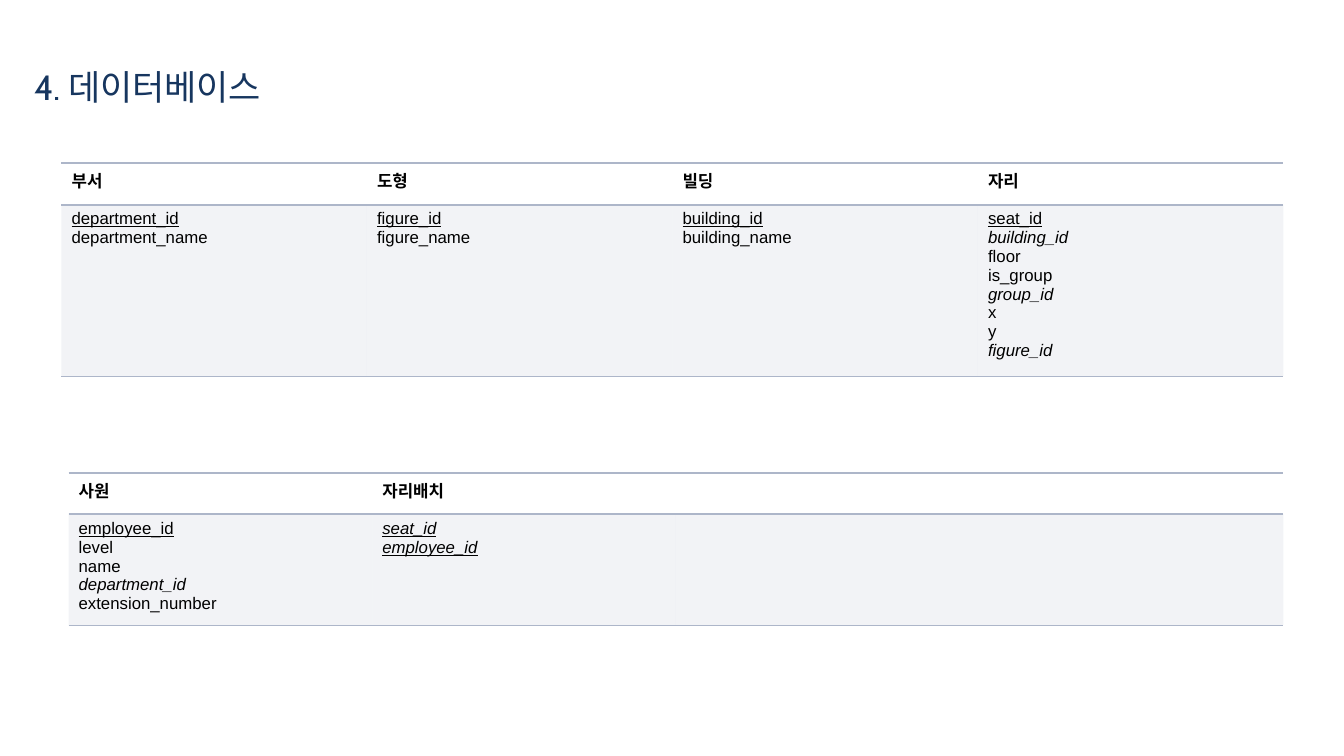
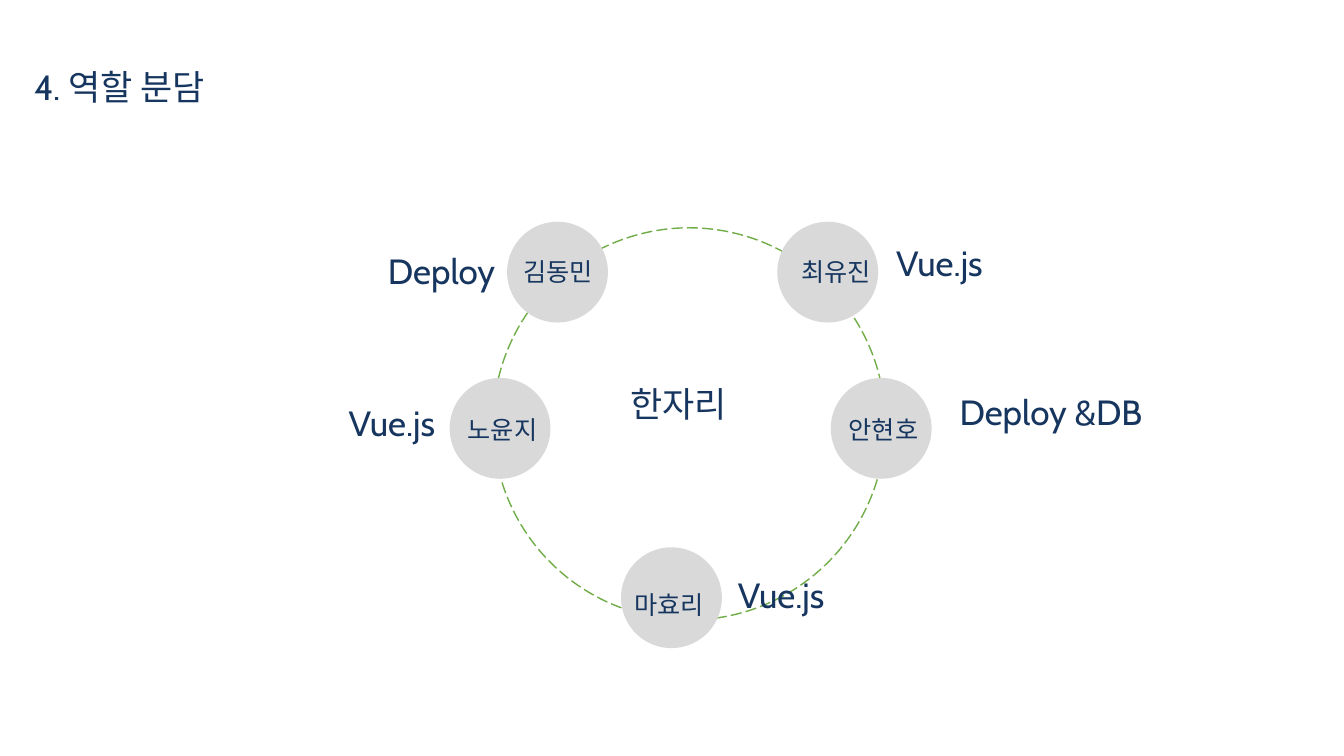
from dataclasses import dataclass
from lxml.etree import SubElement
from pptx import Presentation
from pptx.dml.color import RGBColor
from pptx.enum.dml import MSO_LINE
from pptx.enum.shapes import MSO_SHAPE
from pptx.oxml.ns import qn
from pptx.util import Pt

PX = 9144  # 100 px to the inch


@dataclass(frozen=True)
class Theme:
    navy: str = "17365F"
    black: str = "000000"
    rule: str = "ADB6C9"
    band: str = "C1C7D5"
    green: str = "70AD47"
    disc: str = "D9D9D9"
    face: str = "Cabin"
    body: str = "Arial"
    big: int = 25
    mid: int = 18
    small: int = 12
    thick: float = 1.79
    thin: float = 0.79
    alpha: int = 20
    plain: str = "{2D5ABB26-0587-4C30-8999-92F81FD0307C}"


T = Theme()

# A leading * marks a primary key, / a foreign key
TOP = {
    "부서": ["*department_id", "department_name"],
    "도형": ["*figure_id", "figure_name"],
    "빌딩": ["*building_id", "building_name"],
    "자리": ["*seat_id", "/building_id", "floor", "is_group",
           "/group_id", "x", "y", "/figure_id"],
}
LOW = {
    "사원": ["*employee_id", "level", "name", "/department_id",
           "extension_number"],
    "자리배치": ["*/seat_id", "*/employee_id"],
}

# Name, disc place, name offset in disc, role, role place; all within the ring
TEAM = [
    ("김동민", (14, -6), (6, 29), "Deploy", (-114, 17)),
    ("노윤지", (-43, 149), (8, 31), "Vue.js", (-153, 167)),
    ("마효리", (127, 317), (3, 37), "Vue.js", (233, 338)),
    ("안현호", (335, 149), (8, 31), "Deploy &DB", (453, 157)),
    ("최유진", (282, -6), (14, 29), "Vue.js", (390, 9)),
]


def emu(*box):
    return [n * PX for n in box]


def rgb(code):
    return RGBColor.from_string(code)


def style(font, size, face, color):
    font.size, font.name = Pt(size), face
    font.color.rgb = rgb(color)


def label(slide, box, text, size=T.big):
    frame = slide.shapes.add_textbox(*emu(*box)).text_frame
    frame.word_wrap = True
    frame.text = text
    style(frame.paragraphs[0].runs[0].font, size, T.face, T.navy)


def disc(slide, box):
    shape = slide.shapes.add_shape(MSO_SHAPE.OVAL, *emu(*box))
    shape.shadow.inherit = False
    return shape


def page(deck, title):
    slide = deck.slides.add_slide(deck.slide_layouts[6])
    label(slide, (24, 60, 894, 77), title)
    return slide


def edge(cell, **widths):
    """Rule the named sides of a cell and clear the others."""
    props = cell._tc.get_or_add_tcPr()
    for side in "LRTB":
        line = SubElement(props, qn("a:ln" + side))
        if side in widths:
            line.set("w", str(Pt(widths[side])))
            fill = SubElement(line, qn("a:solidFill"))
            SubElement(fill, qn("a:srgbClr")).set("val", T.rule)
        else:
            SubElement(line, qn("a:noFill"))


def tint(cell):
    cell.fill.solid()
    cell.fill.fore_color.rgb = rgb(T.band)
    color = cell._tc.tcPr.find(".//" + qn("a:solidFill") + "[last()]")
    color = cell._tc.tcPr.findall(qn("a:solidFill"))[0][0]
    SubElement(color, qn("a:alpha")).set("val", str(T.alpha * 1000))


def schema(slide, box, data, cols=4, head=41):
    """Table of entities: names above, fields below."""
    grid = slide.shapes.add_table(2, cols, *emu(*box)).table
    grid._tbl.tblPr.find(qn("a:tableStyleId")).text = T.plain
    grid.horz_banding = False
    grid.rows[0].height, grid.rows[1].height = emu(head, box[3] - head)
    for cell in grid.rows[0].cells:
        edge(cell, T=T.thick, B=T.thick)
        cell.fill.background()
    for cell in grid.rows[1].cells:
        edge(cell, T=T.thick, B=T.thin)
        tint(cell)
    for col, (name, fields) in enumerate(data.items()):
        top, low = grid.cell(0, col), grid.cell(1, col)
        top.text = name
        font = top.text_frame.paragraphs[0].runs[0].font
        style(font, T.small, T.body, T.black)
        font.bold = True
        low.text = "\n".join(field.lstrip("*/") for field in fields)
        for para, field in zip(low.text_frame.paragraphs, fields):
            font = para.runs[0].font
            style(font, T.small, T.body, T.black)
            font.bold = False
            font.underline = "*" in field
            font.italic = "/" in field


def ring(slide, box, name, team):
    """Dashed circle with a disc and a role for each member."""
    left, top = box[:2]
    loop = disc(slide, box)
    loop.fill.background()
    loop.line.color.rgb = rgb(T.green)
    loop.line.width = Pt(1)
    loop.line.dash_style = MSO_LINE.LONG_DASH
    label(slide, (left + 126, top + 149, 161, 79), name)
    for who, (x, y), (dx, dy), role, (rx, ry) in team:
        x, y = left + x, top + y
        spot = disc(slide, (x, y, 100, 100))
        spot.fill.solid()
        spot.fill.fore_color.rgb = rgb(T.disc)
        spot.line.fill.background()
        label(slide, (x + dx, y + dy, 102, 63), who, T.mid)
        label(slide, (left + rx, top + ry, 346, 77), role)


def main():
    deck = Presentation()
    deck.slide_width, deck.slide_height = emu(1333, 750)

    # Database tables
    slide = page(deck, "4. 데이터베이스")
    schema(slide, (61, 162, 1212, 201), TOP)
    schema(slide, (68, 469, 1205, 145), LOW)

    # Team roles
    slide = page(deck, "4. 역할 분담")
    ring(slide, (489, 226, 389, 389), "한자리", TEAM)

    deck.save("out.pptx")


if __name__ == "__main__":
    main()
